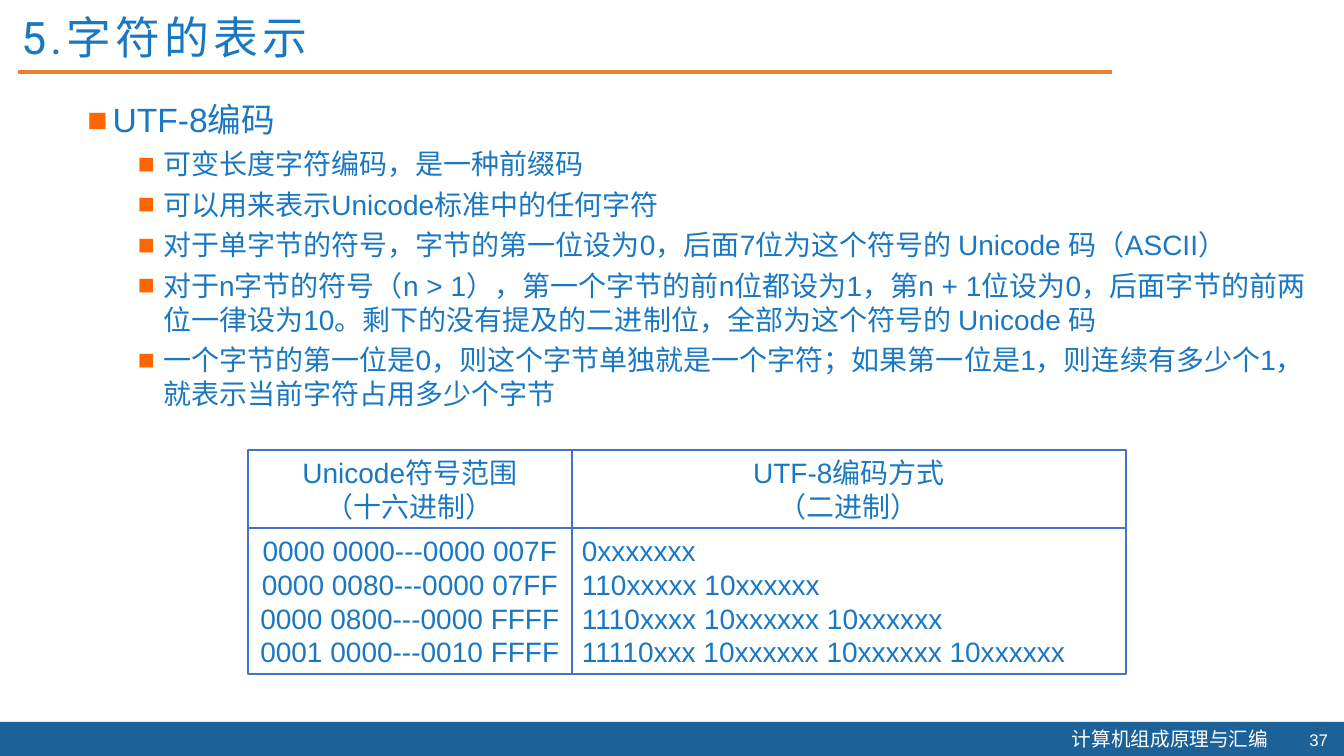
from dataclasses import dataclass

from lxml import etree
from pptx import Presentation
from pptx import util as u
from pptx.dml.color import RGBColor
from pptx.enum import shapes, text
from pptx.oxml.ns import qn

WIDE, HIGH = 1344, 756
SCALE = u.Inches(40 / 3) / WIDE

BLUE, NAVY, WHITE = "1A78C3", "1C6299", "FFFFFF"
ORANGE, BULLET, BORDER = "ED7D31", "FF6600", "4472C4"
LATIN, HAN = "Arial", "Noto Sans CJK SC"
LEFT, MID, RIGHT = text.PP_ALIGN.LEFT, text.PP_ALIGN.CENTER, text.PP_ALIGN.RIGHT
TOP, CENTER = text.MSO_ANCHOR.TOP, text.MSO_ANCHOR.MIDDLE


@dataclass
class Box:
    x: int
    y: int
    w: int
    h: int


@dataclass
class Style:
    size: int
    color: str = BLUE
    face: str = LATIN
    align: int = LEFT
    pitch: int = 0
    before: int = 0
    track: int = 0


@dataclass
class Cell:
    col: int
    row: int
    lines: list[str]
    align: int = MID


TITLE = Style(32, face="Roboto", pitch=37, track=3)
HEAD = Style(24, pitch=29, before=5)
ITEM = Style(20, pitch=24, before=5)

TOPIC = "UTF-8编码"
ITEMS = [
    "可变长度字符编码，是一种前缀码",
    "可以用来表示Unicode标准中的任何字符",
    "对于单字节的符号，字节的第一位设为0，后面7位为这个符号的 Unicode 码（ASCII）",
    "对于n字节的符号（n > 1），第一个字节的前n位都设为1，第n + 1位设为0，"
    "后面字节的前两位一律设为10。剩下的没有提及的二进制位，全部为这个符号的 Unicode 码",
    "一个字节的第一位是0，则这个字节单独就是一个字符；如果第一位是1，"
    "则连续有多少个1，就表示当前字符占用多少个字节",
]

COLS = [(248, 324), (572, 554)]
ROWS = [(450, 78), (528, 146)]
CELLS = [
    Cell(0, 0, ["Unicode符号范围", "（十六进制）"]),
    Cell(0, 1, ["0000 0000---0000 007F", "0000 0080---0000 07FF",
                "0000 0800---0000 FFFF", "0001 0000---0010 FFFF"]),
    Cell(1, 0, ["UTF-8编码方式", "（二进制）"]),
    Cell(1, 1, ["0xxxxxxx", "110xxxxx 10xxxxxx", "1110xxxx 10xxxxxx 10xxxxxx",
                "11110xxx 10xxxxxx 10xxxxxx 10xxxxxx"], LEFT),
]


def px(n: int) -> u.Emu:
    return u.Emu(round(n * SCALE))


def rgb(code: str) -> RGBColor:
    return RGBColor.from_string(code)


def edges(box: Box) -> list[u.Emu]:
    return [px(n) for n in (box.x, box.y, box.w, box.h)]


def place(holder, box: Box) -> None:
    holder.left, holder.top, holder.width, holder.height = edges(box)


def frame(shape, anchor: int = TOP):
    body = shape.text_frame
    body.word_wrap = True
    body.auto_size = text.MSO_AUTO_SIZE.NONE
    body.vertical_anchor = anchor
    return body


def mark(para, level: int) -> None:
    """Give the paragraph a square bullet and the indent of its level."""
    para.level = level
    props = para._p.get_or_add_pPr()
    props.set("marL", str(u.Inches(0.25 + 0.5 * level)))
    props.set("indent", str(-u.Inches(0.25)))
    tint = etree.SubElement(props, qn("a:buClr"))
    etree.SubElement(tint, qn("a:srgbClr"), val=BULLET)
    etree.SubElement(props, qn("a:buFont"), typeface=LATIN)
    etree.SubElement(props, qn("a:buChar"), char="■")


def write(body, lines: list[str], style: Style, levels: list[int] | None = None) -> None:
    """Fill the frame with one paragraph for each line."""
    start = len(body.paragraphs) if body.text else 0
    for i, line in enumerate(lines):
        para = body.add_paragraph() if start + i else body.paragraphs[0]
        para.text = line
        para.alignment = style.align
        para.space_before = u.Pt(style.before)
        if style.pitch:
            para.line_spacing = u.Pt(style.pitch)
        if levels:
            mark(para, levels[i])
        font = para.font
        font.size, font.name = u.Pt(style.size), style.face
        font.color.rgb = rgb(style.color)
        props = para._p.pPr.find(qn("a:defRPr"))
        props.find(qn("a:latin")).addnext(etree.Element(qn("a:ea"), typeface=HAN))
        if style.track:
            props.set("spc", str(style.track * 100))


def rect(slide, box: Box, fill: str = "", line: str = ""):
    shape = slide.shapes.add_shape(shapes.MSO_SHAPE.RECTANGLE, *edges(box))
    shape.shadow.inherit = False
    if fill:
        shape.fill.solid()
        shape.fill.fore_color.rgb = rgb(fill)
    else:
        shape.fill.background()
    if line:
        shape.line.color.rgb = rgb(line)
        shape.line.width = u.Pt(1.5)
    else:
        shape.line.fill.background()
    return shape


def rule(slide, x: int, end: int, y: int) -> None:
    line = slide.shapes.add_connector(
        shapes.MSO_CONNECTOR.STRAIGHT, px(x), px(y), px(end), px(y))
    line.line.color.rgb = rgb(ORANGE)
    line.line.width = u.Pt(3)
    etree.SubElement(line._element.spPr, qn("a:effectLst"))


def label(slide, box: Box, line: str, style: Style, anchor: int = TOP) -> None:
    shape = slide.shapes.add_textbox(*edges(box))
    write(frame(shape, anchor), [line], style)


def main() -> None:
    deck = Presentation()
    deck.slide_width, deck.slide_height = px(WIDE), px(HIGH)
    slide = deck.slides.add_slide(deck.slide_layouts[1])
    title, body = slide.placeholders

    rect(slide, Box(0, 722, WIDE, 34), fill=NAVY)
    label(slide, Box(1062, 722, 220, 34), "计算机组成原理与汇编",
          Style(14, WHITE, HAN))
    rule(slide, 18, 1112, 72)
    label(slide, Box(1288, 725, 50, 30), "37",
          Style(12, WHITE, align=RIGHT), CENTER)

    place(title, Box(11, 7, 1074, 48))
    write(frame(title), ["5.字符的表示"], TITLE)

    place(body, Box(27, 94, 1304, 338))
    points = frame(body)
    write(points, [TOPIC], HEAD, [1])
    write(points, ITEMS, ITEM, [2] * len(ITEMS))

    for cell in CELLS:
        (x, w), (y, h) = COLS[cell.col], ROWS[cell.row]
        shape = rect(slide, Box(x, y, w, h), line=BORDER)
        write(frame(shape, CENTER), cell.lines,
              Style(20, align=cell.align, pitch=24))

    deck.save("out.pptx")


if __name__ == "__main__":
    main()
